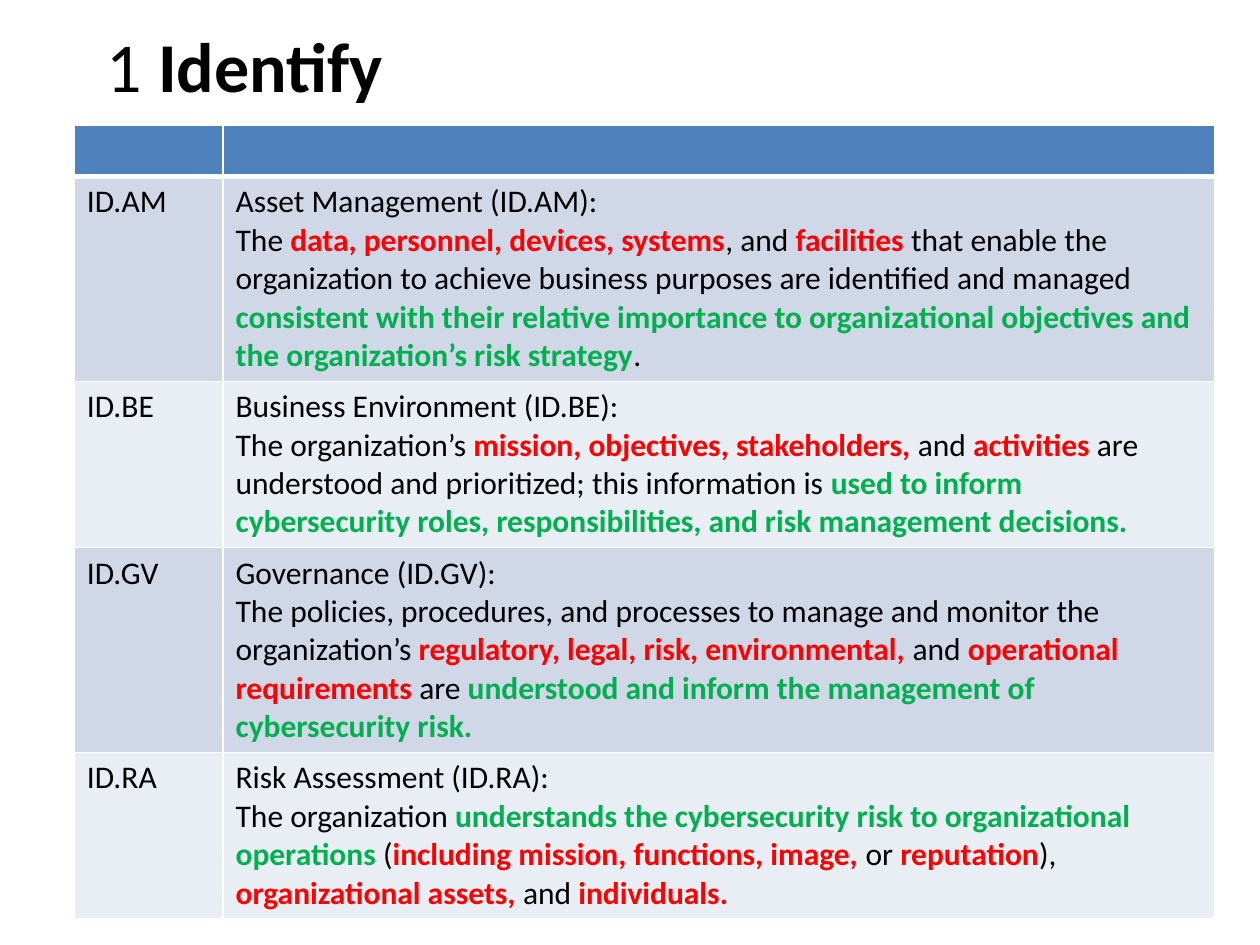
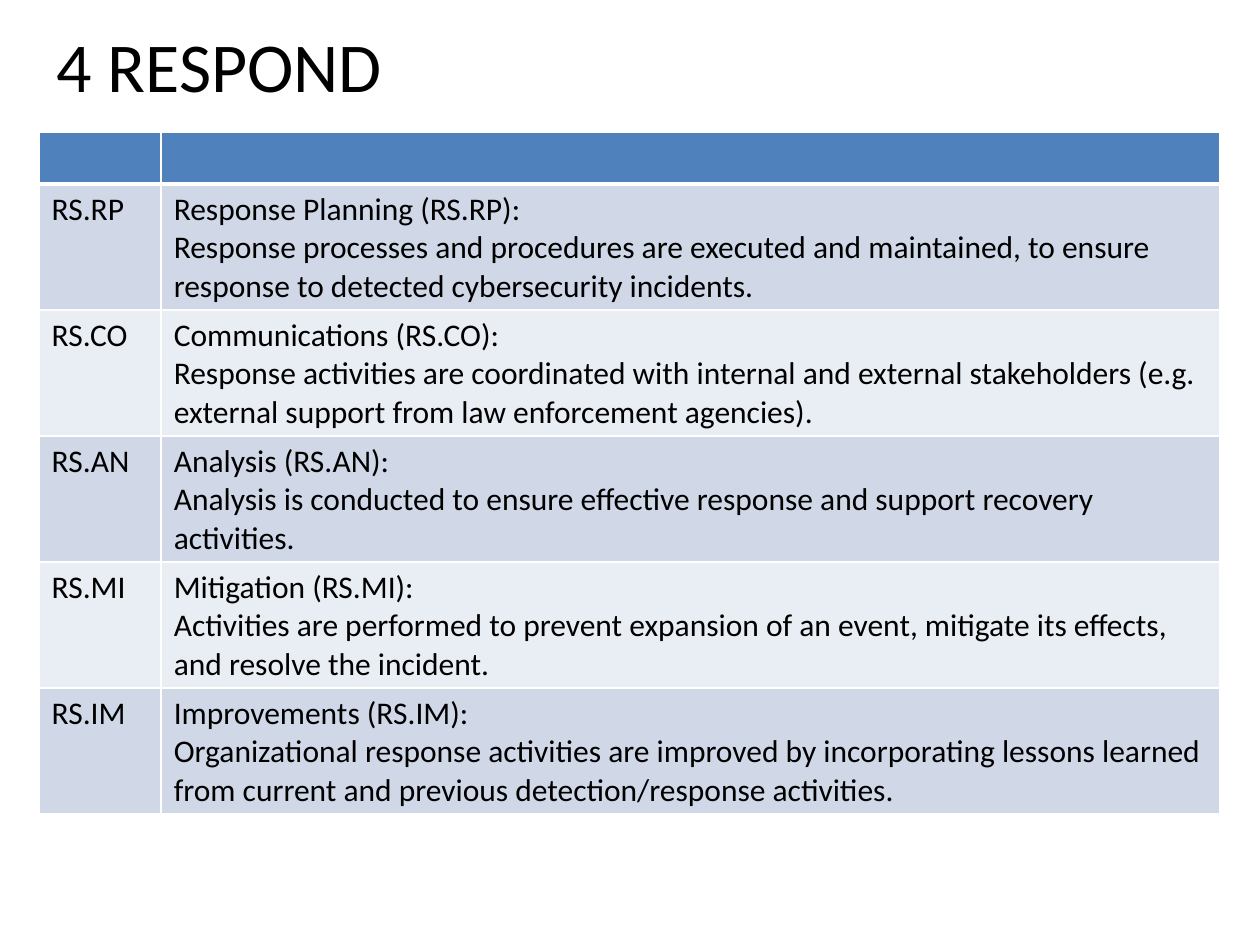
from lxml.etree import SubElement
from pptx import Presentation
from pptx.dml.color import RGBColor
from pptx.enum.text import MSO_AUTO_SIZE
from pptx.oxml.ns import qn
from pptx.util import Inches, Pt

BLACK = RGBColor(0x00, 0x00, 0x00)
WHITE = RGBColor(0xFF, 0xFF, 0xFF)
RED = RGBColor(0xFF, 0x00, 0x00)
GREEN = RGBColor(0x00, 0xB0, 0x50)
HEADER_BLUE = RGBColor(0x4F, 0x81, 0xBD)
BANDS = (RGBColor(0xD0, 0xD8, 0xE8), RGBColor(0xE9, 0xED, 0xF4))

FONT = "Calibri"
HEADER_HEIGHT = 0.41
LINE_HEIGHT = 0.3
CELL_PADDING = 0.1

# Each category: code, name, number of text lines, coloured pieces of its description
IDENTIFY = [
    ("ID.AM", "Asset Management", 5, [
        ("The ", BLACK),
        ("data, personnel, devices, systems", RED),
        (", and ", BLACK),
        ("facilities", RED),
        (" that enable the organization to achieve business purposes "
         "are identified and managed ", BLACK),
        ("consistent with their relative importance to organizational "
         "objectives and the organization’s risk strategy", GREEN),
        (".", BLACK)]),
    ("ID.BE", "Business Environment", 4, [
        ("The organization’s", BLACK),
        (" mission, objectives, stakeholders, ", RED),
        ("and ", BLACK),
        ("activities", RED),
        (" are understood and prioritized; this information is ", BLACK),
        ("used to inform cybersecurity roles, responsibilities, "
         "and risk management decisions.", GREEN)]),
    ("ID.GV", "Governance", 5, [
        ("The policies, procedures, and processes to manage and monitor "
         "the organization’s ", BLACK),
        ("regulatory, legal, risk, environmental, ", RED),
        ("and", BLACK),
        (" operational requirements ", RED),
        ("are ", BLACK),
        ("understood and inform the management of cybersecurity risk.", GREEN)]),
    ("ID.RA", "Risk Assessment", 4, [
        ("The organization ", BLACK),
        ("understands the cybersecurity risk to organizational operations", GREEN),
        (" (", BLACK),
        ("including mission, functions, image, ", RED),
        ("or ", BLACK),
        ("reputation", RED),
        ("), ", BLACK),
        ("organizational assets, ", RED),
        ("and ", BLACK),
        ("individuals.", RED)]),
]

RESPOND = [
    ("RS.RP", "Response Planning", 3, [
        ("Response processes and procedures are executed and maintained, "
         "to ensure response to detected cybersecurity incidents.", BLACK)]),
    ("RS.CO", "Communications", 3, [
        ("Response activities are coordinated with internal and external "
         "stakeholders (e.g. external support from law enforcement agencies).", BLACK)]),
    ("RS.AN", "Analysis", 3, [
        ("Analysis is conducted to ensure effective response "
         "and support recovery activities.", BLACK)]),
    ("RS.MI", "Mitigation", 3, [
        ("Activities are performed to prevent expansion of an event, "
         "mitigate its effects, and resolve the incident.", BLACK)]),
    ("RS.IM", "Improvements", 3, [
        ("Organizational response activities are improved by incorporating lessons "
         "learned from current and previous detection/response activities.", BLACK)]),
]


def add_run(paragraph, text, size=18, color=BLACK, bold=False):
    run = paragraph.add_run()
    run.text = text
    run.font.name = FONT
    run.font.size = Pt(size)
    run.font.bold = bold
    run.font.color.rgb = color


def style_cell(cell, color, bottom_width=1):
    """Fill the cell and give it white borders, which must precede the fill in the XML."""
    cell.fill.solid()
    cell.fill.fore_color.rgb = color
    properties = cell._tc.get_or_add_tcPr()
    widths = {"a:lnL": 1, "a:lnR": 1, "a:lnT": 1, "a:lnB": bottom_width}
    for position, (side, width) in enumerate(widths.items()):
        border = SubElement(properties, qn(side), w=str(Pt(width)))
        line_fill = SubElement(border, qn("a:solidFill"))
        SubElement(line_fill, qn("a:srgbClr"), val=str(WHITE))
        properties.insert(position, border)


def add_title(slide, left, top, width, height, pieces):
    title = slide.shapes.add_textbox(
        Inches(left), Inches(top), Inches(width), Inches(height))
    title.text_frame.word_wrap = False
    title.text_frame.auto_size = MSO_AUTO_SIZE.SHAPE_TO_FIT_TEXT
    for text, bold in pieces:
        add_run(title.text_frame.paragraphs[0], text, size=40, bold=bold)


def add_category_table(slide, left, top, column_widths, categories):
    row_heights = [HEADER_HEIGHT] + [
        CELL_PADDING + LINE_HEIGHT * lines for _, _, lines, _ in categories]
    table = slide.shapes.add_table(
        len(row_heights), len(column_widths), Inches(left), Inches(top),
        Inches(sum(column_widths)), Inches(sum(row_heights))).table
    for column, width in zip(table.columns, column_widths):
        column.width = Inches(width)
    for row, height in zip(table.rows, row_heights):
        row.height = Inches(height)

    for header_cell in table.rows[0].cells:
        style_cell(header_cell, HEADER_BLUE, bottom_width=3)
    for index, (code, name, _, description) in enumerate(categories):
        code_cell, text_cell = table.rows[index + 1].cells
        for cell in (code_cell, text_cell):
            style_cell(cell, BANDS[index % 2])
        add_run(code_cell.text_frame.paragraphs[0], code)
        add_run(text_cell.text_frame.paragraphs[0], f"{name} ({code}):")
        body = text_cell.text_frame.add_paragraph()
        for text, color in description:
            add_run(body, text, color=color, bold=color != BLACK)


def add_function_slide(presentation, title_box, title, table_origin, column_widths, categories):
    """Add one slide on a function of the cybersecurity framework."""
    slide = presentation.slides.add_slide(presentation.slide_layouts[6])
    add_category_table(slide, *table_origin, column_widths, categories)
    add_title(slide, *title_box, title)


def main():
    presentation = Presentation()
    presentation.slide_width = Inches(10)
    presentation.slide_height = Inches(7.5)
    add_function_slide(
        presentation, (0.75, 0.13, 2.52, 0.77), [("1 ", False), ("Identify", True)],
        (0.59, 0.99), (1.18, 7.87), IDENTIFY)
    add_function_slide(
        presentation, (0.35, 0.13, 2.83, 0.77), [("4 RESPOND", False)],
        (0.31, 1.05), (0.97, 8.4), RESPOND)
    presentation.save("out.pptx")


if __name__ == "__main__":
    main()
